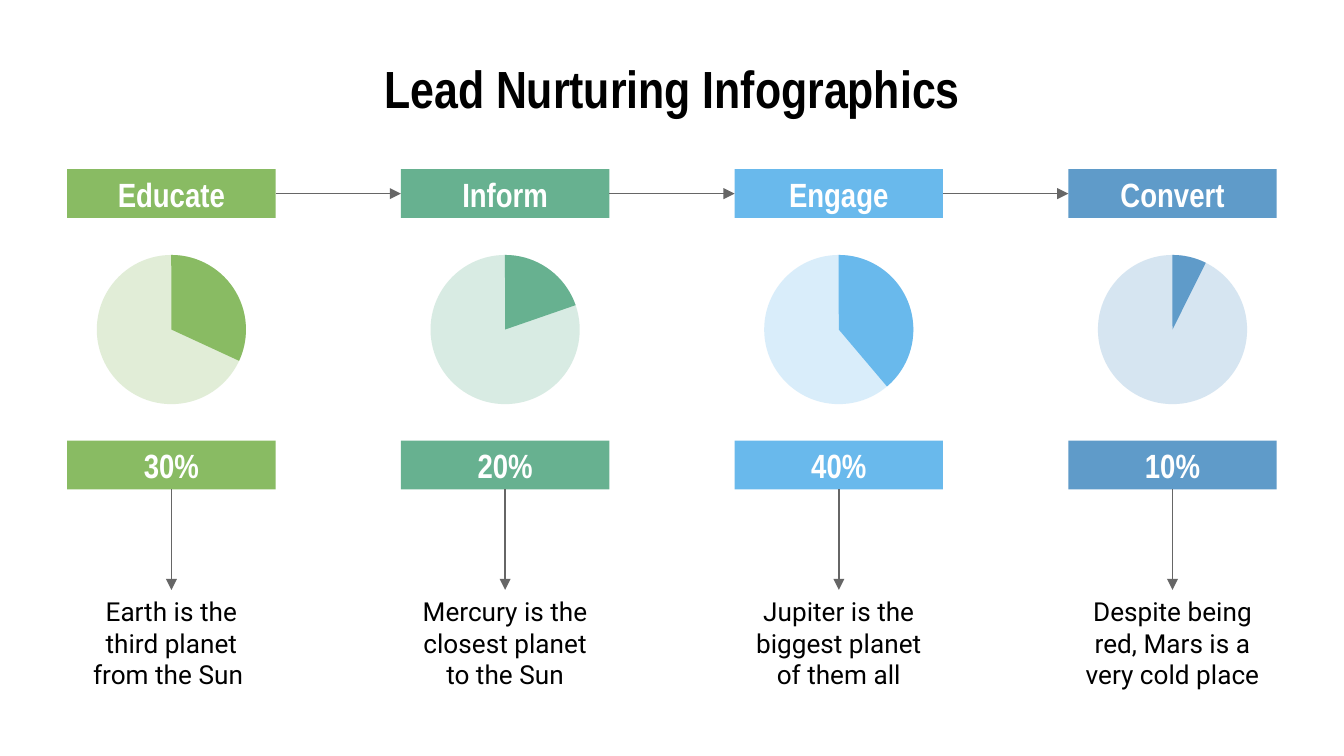
from dataclasses import dataclass

import pptx
import pptx.dml.color
import pptx.enum.shapes
import pptx.enum.text
import pptx.oxml.ns
import pptx.util
from lxml import etree

Cm = pptx.util.Cm
Kind = pptx.enum.shapes.MSO_SHAPE
qn = pptx.oxml.ns.qn


@dataclass(frozen=True)
class Theme:
    ink: str = "000000"
    white: str = "FFFFFF"
    line: str = "666666"
    head: str = "Arial Narrow"
    body: str = "Roboto"
    title: int = 28
    label: int = 18
    note: int = 14
    stroke: float = 0.75
    alpha: int = 25


@dataclass(frozen=True)
class Stage:
    name: str
    share: str
    note: str
    color: str
    end: float  # angle where the pie slice stops, in degrees


THEME = Theme()
STAGES = [
    Stage("Educate", "30%", "Earth is the third planet from the Sun ", "89BB63", 24.8),
    Stage("Inform", "20%", "Mercury is the closest planet to the Sun", "67B190", 340.92),
    Stage("Engage", "40%", "Jupiter is the biggest planet of them all", "69B9EC", 49.73),
    Stage("Convert", "10%", "Despite being red, Mars is a very cold place", "5F9BC9", 296.53),
]

# Layout in centimetres
WIDTH, HEIGHT = 25.4, 14.29
MARGIN = 1.27
BOX_W, BOX_H = 3.94, 0.92
STEP = (WIDTH - 2 * MARGIN - BOX_W) / (len(STAGES) - 1)
NAME_Y, PIE_Y, SHARE_Y, NOTE_Y = 3.2, 4.82, 8.33, 11.15
PIE = 2.82
NOTE_H = 2.0
START = 269.91


def rgb(code: str) -> pptx.dml.color.RGBColor:
    return pptx.dml.color.RGBColor.from_string(code)


def write(shape, text: str, font: str, size: int, color: str, bold: bool = False) -> None:
    frame = shape.text_frame
    frame.word_wrap = True
    frame.vertical_anchor = pptx.enum.text.MSO_ANCHOR.MIDDLE
    frame.margin_left = frame.margin_right = Cm(0.25)
    frame.margin_top = frame.margin_bottom = Cm(0.25)
    para = frame.paragraphs[0]
    para.alignment = pptx.enum.text.PP_ALIGN.CENTER
    run = para.add_run()
    run.text = text
    run.font.name = font
    run.font.size = pptx.util.Pt(size)
    run.font.bold = bold
    run.font.color.rgb = rgb(color)


def add_text(slide, x: float, y: float, w: float, h: float):
    return slide.shapes.add_textbox(Cm(x), Cm(y), Cm(w), Cm(h))


def add_shape(slide, kind, x: float, y: float, w: float, h: float, color: str):
    shape = slide.shapes.add_shape(kind, Cm(x), Cm(y), Cm(w), Cm(h))
    shape.shadow.inherit = False
    shape.fill.solid()
    shape.fill.fore_color.rgb = rgb(color)
    shape.line.fill.background()
    return shape


def add_label(slide, text: str, x: float, y: float, color: str):
    box = add_shape(slide, Kind.RECTANGLE, x, y, BOX_W, BOX_H, color)
    write(box, text, THEME.head, THEME.label, THEME.white, bold=True)
    return box


def add_pie(slide, stage: Stage, x: float) -> None:
    disc = add_shape(slide, Kind.OVAL, x, PIE_Y, PIE, PIE, stage.color)
    tint = disc.element.spPr.find(qn("a:solidFill")).find(qn("a:srgbClr"))
    etree.SubElement(tint, qn("a:alpha"), val=str(THEME.alpha * 1000))
    slice_ = add_shape(slide, Kind.PIE, x, PIE_Y, PIE, PIE, stage.color)
    # Angles are stored in 1/60000 degree, adjustments in 1/100000
    for i, angle in enumerate((START, stage.end)):
        slice_.adjustments[i] = angle * 0.6


def add_arrow(slide, first, start: int, last, end: int) -> None:
    arrow = slide.shapes.add_connector(
        pptx.enum.shapes.MSO_CONNECTOR.STRAIGHT, 0, 0, 0, 0)
    arrow.begin_connect(first, start)
    arrow.end_connect(last, end)
    arrow.line.color.rgb = rgb(THEME.line)
    arrow.line.width = pptx.util.Pt(THEME.stroke)
    props = arrow.element.spPr
    etree.SubElement(props.find(qn("a:ln")), qn("a:tailEnd"), type="triangle")
    etree.SubElement(props, qn("a:effectLst"))


def add_stage(slide, stage: Stage, x: float):
    name = add_label(slide, stage.name, x, NAME_Y, stage.color)
    add_pie(slide, stage, x + (BOX_W - PIE) / 2)
    share = add_label(slide, stage.share, x, SHARE_Y, stage.color)
    note = add_text(slide, x, NOTE_Y, BOX_W, NOTE_H)
    write(note, stage.note, THEME.body, THEME.note, THEME.ink)
    add_arrow(slide, share, 2, note, 0)
    return name


def main() -> None:
    deck = pptx.Presentation()
    deck.slide_width, deck.slide_height = Cm(WIDTH), Cm(HEIGHT)
    slide = deck.slides.add_slide(deck.slide_layouts[6])

    # Title
    title = add_text(slide, MARGIN, 1.14, WIDTH - 2 * MARGIN, 1.04)
    write(title, "Lead Nurturing Infographics", THEME.head, THEME.title, THEME.ink, bold=True)

    # Stage columns
    names = [add_stage(slide, stage, MARGIN + i * STEP) for i, stage in enumerate(STAGES)]

    # Arrows from stage to stage
    for left, right in zip(names, names[1:]):
        add_arrow(slide, left, 3, right, 1)

    deck.save("out.pptx")


if __name__ == "__main__":
    main()
